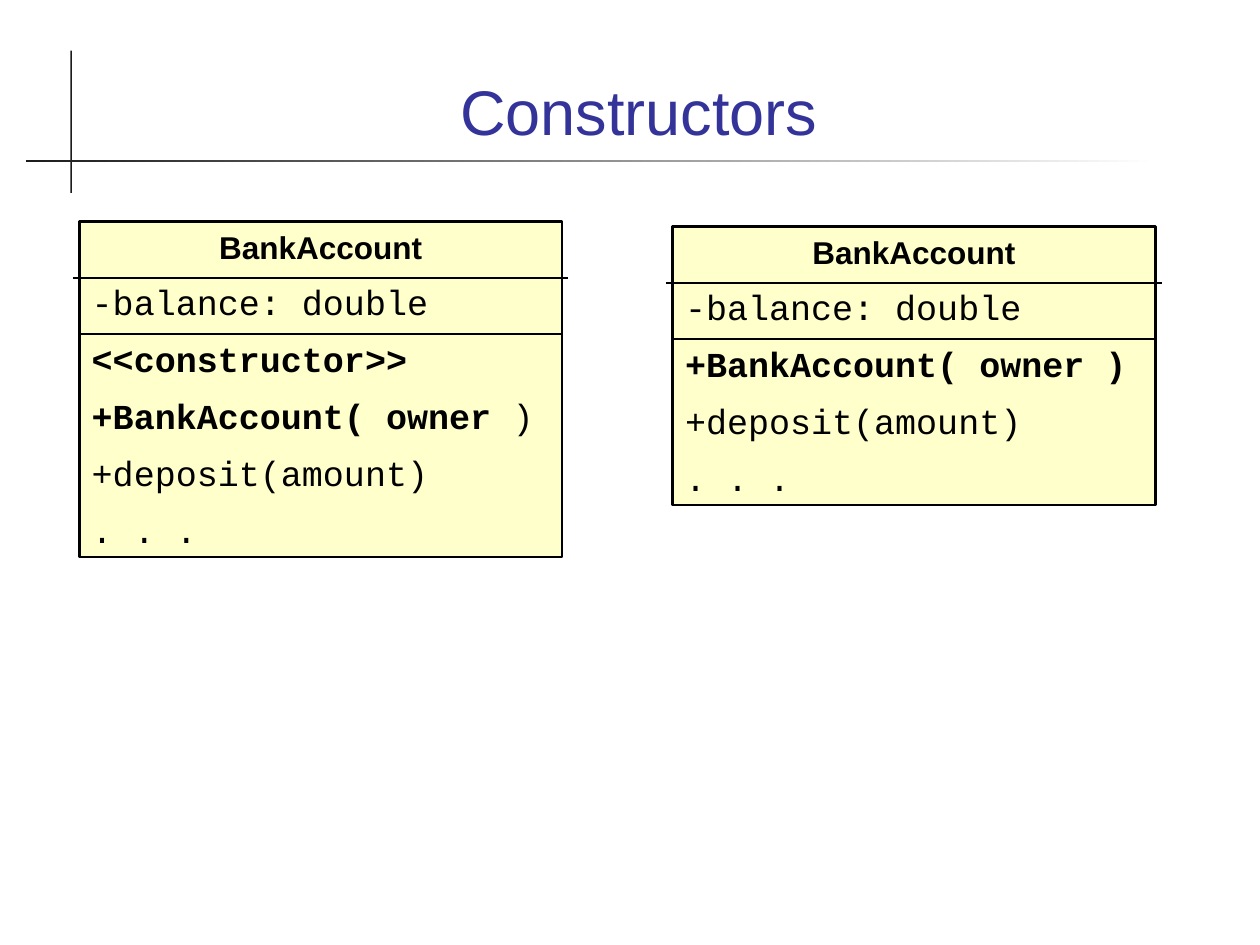
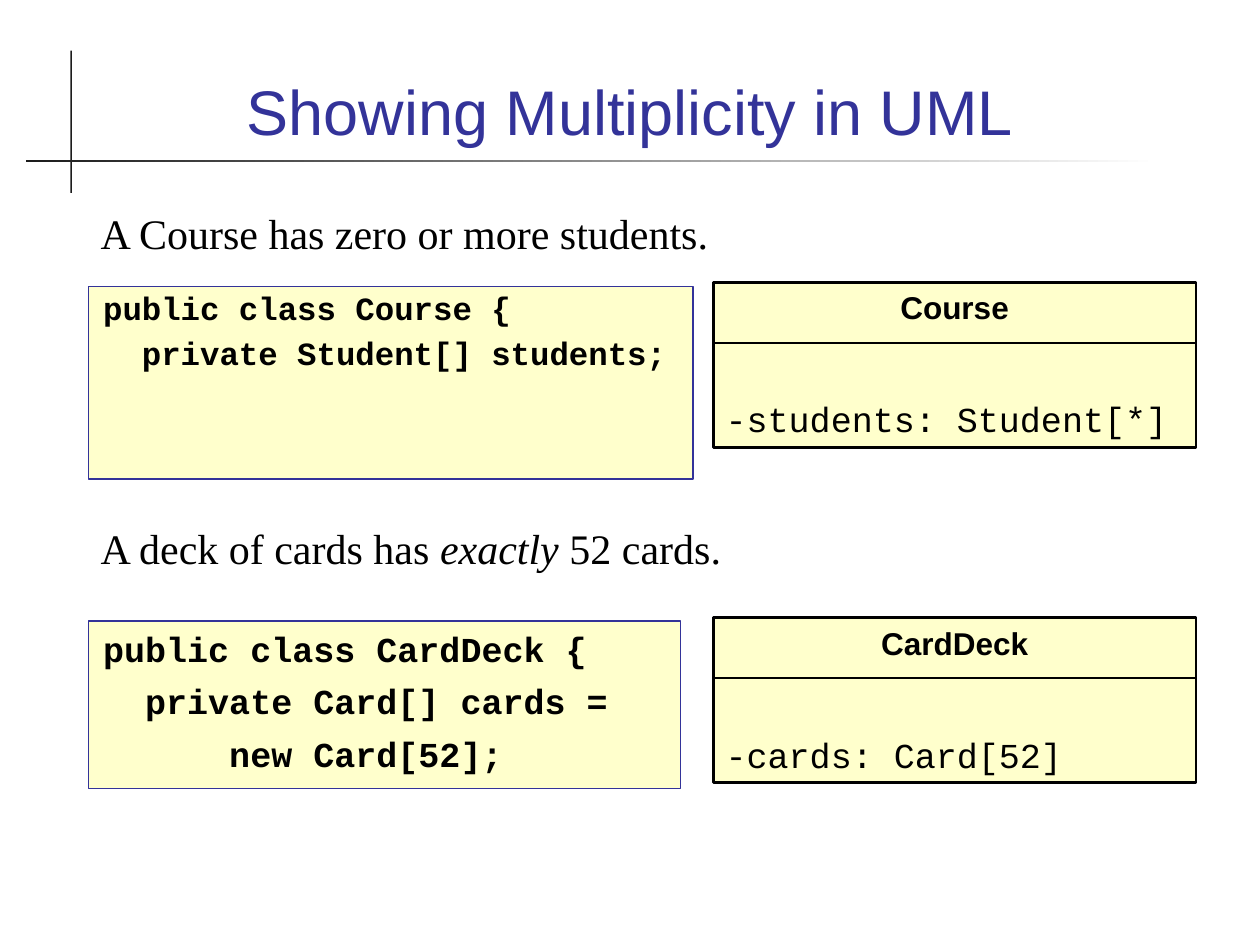
"""Build two slides on UML class boxes: constructors and multiplicity."""
from lxml import etree
from pptx import Presentation, util as u
from pptx.dml import color
from pptx.enum import shapes, text
from pptx.oxml import ns

INK, BLUE, CREAM, GREY, WHITE = "000000", "333399", "FFFFCC", "1C1C1C", "FFFFFF"
LEFT, MID = text.PP_ALIGN.LEFT, text.PP_ALIGN.CENTER
TOP, LOW = text.MSO_ANCHOR.TOP, text.MSO_ANCHOR.BOTTOM
RECT, LINE = shapes.MSO_SHAPE.RECTANGLE, shapes.MSO_CONNECTOR.STRAIGHT

HEAD = {"name": "Arial", "size": u.Pt(36)}
NAME = {"name": "Arial", "size": u.Pt(18), "bold": True}
PART = {"name": "Courier New", "size": u.Pt(20), "bold": False}
BOLD = {**PART, "bold": True}
SMALL = {**BOLD, "size": u.Pt(18.5)}
BODY = {"name": "Times New Roman", "size": u.Pt(24)}
STRESS = {**BODY, "italic": True}
WIDE = 9.73


def hue(code):
    return color.RGBColor.from_string(code)


def box(page, spot, rows, edge=None, width=0, tone=INK, inset=0.25, anchor=TOP):
    spot = [u.Cm(n) for n in spot]
    if edge:
        item = page.shapes.add_shape(RECT, *spot)
        item.shadow.inherit = False
        item.fill.solid()
        item.fill.fore_color.rgb = hue(CREAM)
        item.line.color.rgb = hue(edge)
        item.line.width = u.Pt(width)
    else:
        item = page.shapes.add_textbox(*spot)
    frame = item.text_frame
    look = {"word_wrap": True, "auto_size": text.MSO_AUTO_SIZE.NONE,
            "vertical_anchor": anchor, "margin_left": u.Cm(inset)}
    for key, val in look.items():
        setattr(frame, key, val)
    for i, (runs, form) in enumerate(rows):
        para = frame.add_paragraph() if i else frame.paragraphs[0]
        for key, val in {"alignment": LEFT, **form}.items():
            setattr(para, key, val)
        for words, font in runs:
            run = para.add_run()
            run.text = words
            run.font.color.rgb = hue(tone)
            for key, val in font.items():
                setattr(run.font, key, val)


deck = Presentation()
deck.slide_width, deck.slide_height = u.Cm(25.4), u.Cm(19.05)
pages = []
for title in (" Constructors", "Showing Multiplicity in UML"):
    page = deck.slides.add_slide(deck.slide_layouts[6])
    pages.append(page)
    page.background.fill.solid()
    page.background.fill.fore_color.rgb = hue(WHITE)
    for spot in ((1.42, 1.02, 0.03, 2.87), (0.53, 3.23, 22.81, 0.03)):
        bar = page.shapes.add_shape(RECT, *[u.Cm(n) for n in spot])
        bar.shadow.inherit = False
        bar.line.fill.background()
        if spot[2] < spot[3]:
            bar.fill.solid()
            bar.fill.fore_color.rgb = hue(GREY)
        else:
            bar.fill.gradient()
            bar.fill.gradient_angle = 180
            for stop, code in zip(bar.fill.gradient_stops, (WHITE, GREY)):
                stop.color.rgb = hue(code)
    box(page, (1.7, 0.71, 22, 2.41), [([(title, HEAD)], {"alignment": MID})],
        tone=BLUE, anchor=LOW)

first, second = pages
field = [("-balance: double", PART)]
tail = [[("+deposit(amount)", PART)], [(". . .", PART)]]
long = [field, [("<<constructor>>", BOLD)],
        [("+BankAccount( owner ", BOLD), (")", PART)], *tail]
short = [field, [("+BankAccount( owner )", BOLD)], *tail]
pair = ((1.13, 0.13), (2.27, 0))
single = ((1.22, 0),)
models = (
    (first, 13.56, 4.57, 5.61, "BankAccount", short, 8.5, pair),
    (first, 1.6, 4.47, 6.76, "BankAccount", long, 8.5, pair),
    (second, 14.38, 5.69, 3.33, "Course", [[("-students: Student[*]", PART)]], 41, single),
    (second, 14.38, 12.45, 3.33, "CardDeck", [[("-cards: Card[52]", PART)]], 41, single),
)
for page, x, y, high, name, parts, gap, rules in models:
    rows = [([(name, NAME)], {"alignment": MID})]
    rows += [(runs, {"space_before": u.Pt(gap)}) for runs in parts]
    box(page, (x, y, WIDE, high), rows, INK, 1.5)
    for drop, over in rules:
        ends = (x - over, y + drop, x + WIDE + over, y + drop)
        rule = page.shapes.add_connector(LINE, *[u.Cm(n) for n in ends])
        rule.line.color.rgb = hue(INK)
        rule.line.width = u.Pt(1)
        etree.SubElement(rule._element.spPr, ns.qn("a:effectLst"))

course = ["public class Course {", "  private Student[] students;"]
cards = ["public class CardDeck {", "  private Card[] cards =", "      new Card[52];"]
codes = (((1.78, 5.77, 12.19, 3.89), course, SMALL, 0.9),
         ((1.78, 12.52, 11.94, 3.38), cards, BOLD, 1.0))
for spot, lines, font, pitch in codes:
    rows = [([(line, font)], {"line_spacing": pitch, "space_before": u.Pt(6 if i else 0)})
            for i, line in enumerate(lines)]
    box(second, spot, rows, BLUE, 0.75, inset=0.3)

notes = ((4.06, [("A Course has zero or more students.", BODY)]),
         (10.41, [("A deck of cards has ", BODY), ("exactly", STRESS), (" 52 cards.", BODY)]))
for y, runs in notes:
    box(second, (1.78, y, 22.35, 1.27), [(runs, {})])

deck.save("out.pptx")
